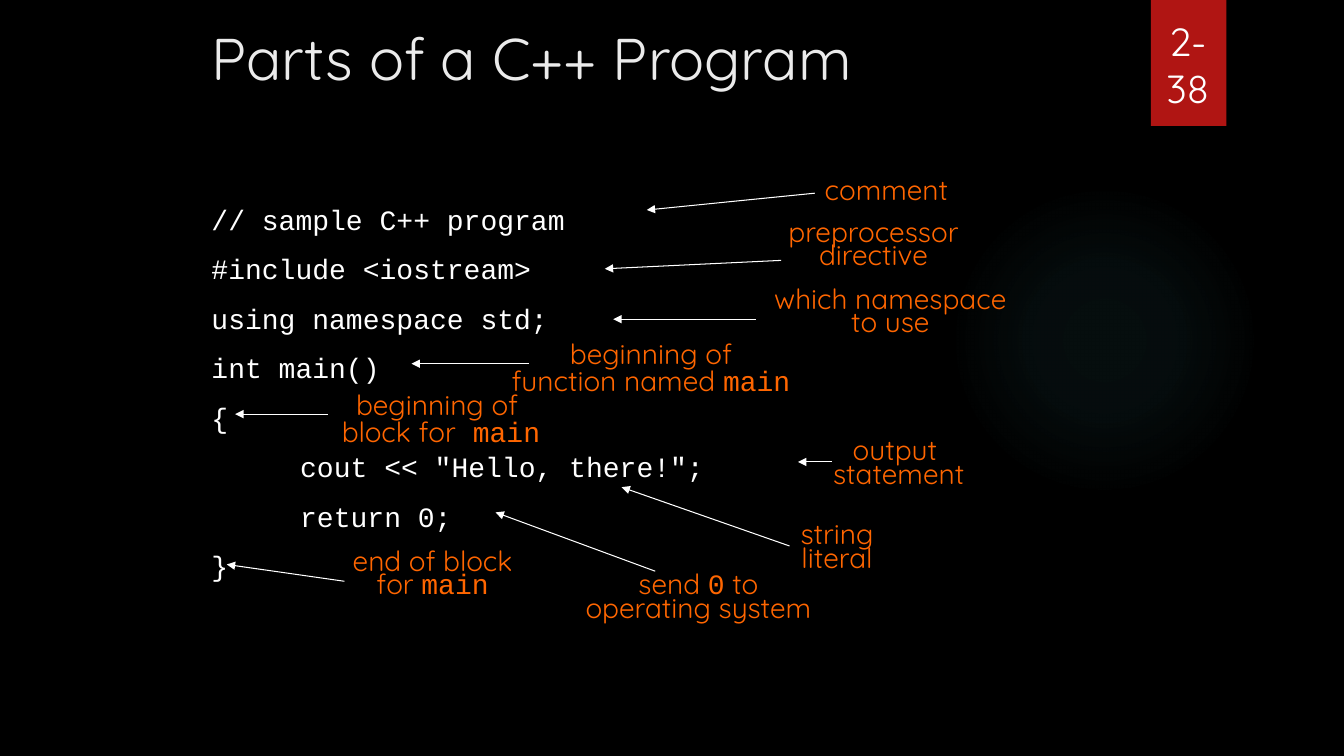
from dataclasses import dataclass

from lxml.etree import SubElement
from pptx import Presentation
from pptx.dml.color import RGBColor
from pptx.enum.shapes import MSO_CONNECTOR as Connector, MSO_SHAPE as Shape
from pptx.enum.text import MSO_ANCHOR as Anchor, MSO_AUTO_SIZE as Fit, PP_ALIGN as Align
from pptx.oxml import parse_xml
from pptx.oxml.ns import nsdecls, qn
from pptx.util import Inches, Pt


@dataclass(frozen=True)
class Theme:
    background: str = "000000"
    title: str = "EBEBEB"
    code: str = "FFFFFF"
    label: str = "FF6600"
    tab: str = "B01513"
    glow: str = "50B9C1"
    sans: str = "Quicksand"
    mono: str = "Courier New"
    title_size: float = 42
    number_size: float = 28
    text_size: float = 20
    arrow_width: float = 0.75


THEME = Theme()

# Program lines with their indent level
PROGRAM = [
    ("// sample C++ program", 0),
    ("#include <iostream>", 0),
    ("using namespace std;", 0),
    ("int main()", 0),
    ("{", 0),
    ('cout << "Hello, there!";', 1),
    ("return 0;", 1),
    ("}", 0),
]

# Arrow start, arrow end, label (column, row, columns), line spacing, label lines.
# Backticks enclose code words.
CALLOUTS = [
    ((97, 23), (77, 25), (97, 20, 24), 1, ["comment"]),
    ((93, 31), (72, 32), (89, 26, 30), 0.7, ["preprocessor", "directive"]),
    ((90, 38), (73, 38), (88, 34, 36), 0.7, ["which namespace", "to use"]),
    ((63, 43.3), (49, 43.3), (56, 40.3, 43), 0.8, ["beginning of", "function named `main`"]),
    ((39, 49.3), (28, 49.3), (37, 46.3, 31), 0.8, ["beginning of ", "block for` main`"]),
    ((99, 55), (95, 55), (95, 52, 24), 0.7, ["output ", "statement"]),
    ((94, 65), (74, 58), (89.3, 62, 20.7), 0.7, ["string", "literal"]),
    ((78, 68), (59, 61), (66.7, 68, 32.9), 0.7, ["send `0` to", "operating system"]),
    ((41, 69.2), (27, 67.2), (39, 65.2, 25), 0.7, ["end of block", "for `main`"]),
]
LABEL_ROWS = {1: 5.2, 0.7: 7.1, 0.8: 7.9}


def grid(*cells):
    """Turn grid cells, twelve to the inch, into lengths."""
    return [Inches(cell / 12) for cell in cells]


def rgb(color):
    return RGBColor.from_string(color)


def write(frame, lines, *, color, size=THEME.text_size, font=THEME.sans,
          align=Align.LEFT, spacing=1, before=0, levels=None, anchor=Anchor.TOP, fit=Fit.NONE):
    frame.word_wrap, frame.auto_size, frame.vertical_anchor = True, fit, anchor
    for index, line in enumerate(lines):
        paragraph = frame.add_paragraph() if index else frame.paragraphs[0]
        paragraph.alignment = align
        paragraph.line_spacing = spacing
        paragraph.space_before = Pt(before if index else 0)
        if levels:
            margin = levels[index] * Inches(0.88)
            paragraph._p.get_or_add_pPr().set("marL", str(margin))
        for part, words in enumerate(line.split("`")):
            if words:
                run = paragraph.add_run()
                run.text = words
                run.font.name = THEME.mono if part % 2 else font
                run.font.size = Pt(size)
                run.font.color.rgb = rgb(color)


def add_text(slide, box, lines, **style):
    write(slide.shapes.add_textbox(*grid(*box)).text_frame, lines, **style)


def add_plain(slide, preset, box):
    shape = slide.shapes.add_shape(preset, *grid(*box))
    shape.shadow.inherit = False
    shape.line.fill.background()
    return shape


def add_glow(slide, box):
    glow = add_plain(slide, Shape.OVAL, box)
    stops = "".join(
        f'<a:gs pos="{position}000"><a:srgbClr val="{THEME.glow}">'
        f'<a:alpha val="{alpha}000"/></a:srgbClr></a:gs>'
        for position, alpha in [(0, 7), (36, 6), (69, 0), (100, 0)])
    gradient = parse_xml(
        f'<a:gradFill {nsdecls("a")}><a:gsLst>{stops}</a:gsLst><a:path path="circle">'
        '<a:fillToRect l="50000" t="50000" r="50000" b="50000"/></a:path></a:gradFill>')
    glow._element.spPr.find(qn("a:prstGeom")).addnext(gradient)


def add_arrow(slide, start, end):
    arrow = slide.shapes.add_connector(Connector.STRAIGHT, *grid(*start, *end))
    arrow.line.color.rgb = rgb(THEME.code)
    arrow.line.width = Pt(THEME.arrow_width)
    SubElement(arrow.line._get_or_add_ln(), qn("a:tailEnd"), type="triangle")
    SubElement(arrow._element.spPr, qn("a:effectLst"))


def add_callout(slide, start, end, label, spacing, lines):
    add_arrow(slide, start, end)
    add_text(slide, (*label, LABEL_ROWS[spacing]), lines, color=THEME.label, spacing=spacing,
             align=Align.CENTER if len(lines) > 1 else Align.LEFT, fit=Fit.SHAPE_TO_FIT_TEXT)


def main():
    deck = Presentation()
    deck.slide_width, deck.slide_height = grid(160, 90)
    slide = deck.slides.add_slide(deck.slide_layouts[5])
    slide.background.fill.solid()
    slide.background.fill.fore_color.rgb = rgb(THEME.background)

    # Backdrop
    add_glow(slide, (113, 22, 37, 37))
    number_tab = add_plain(slide, Shape.RECTANGLE, (137, 0, 9, 15))
    number_tab.fill.solid()
    number_tab.fill.fore_color.rgb = rgb(THEME.tab)

    # Title and slide number
    title = slide.shapes.title
    title.left, title.top, title.width, title.height = grid(24, 2, 102, 15)
    write(title.text_frame, ["Parts of a C++ Program"], color=THEME.title, size=THEME.title_size)
    add_text(slide, (135.9, 3.9, 11, 10), ["2-38"], color=THEME.code, size=THEME.number_size,
             align=Align.CENTER, anchor=Anchor.BOTTOM)

    # Program
    code, levels = zip(*PROGRAM)
    add_text(slide, (24, 23.5, 102, 60), code, color=THEME.code, font=THEME.mono,
             before=11.3, levels=levels)

    # Explanations
    for callout in CALLOUTS:
        add_callout(slide, *callout)

    deck.save("out.pptx")


if __name__ == "__main__":
    main()
